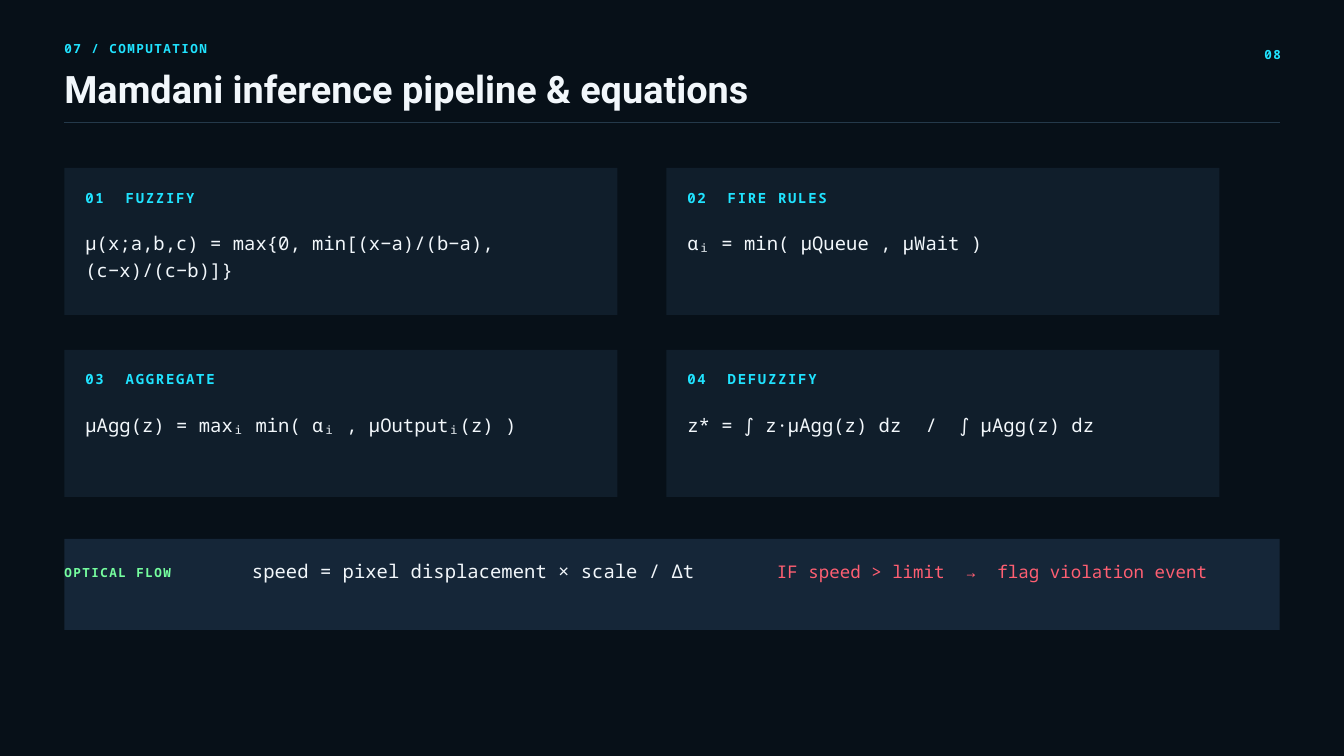
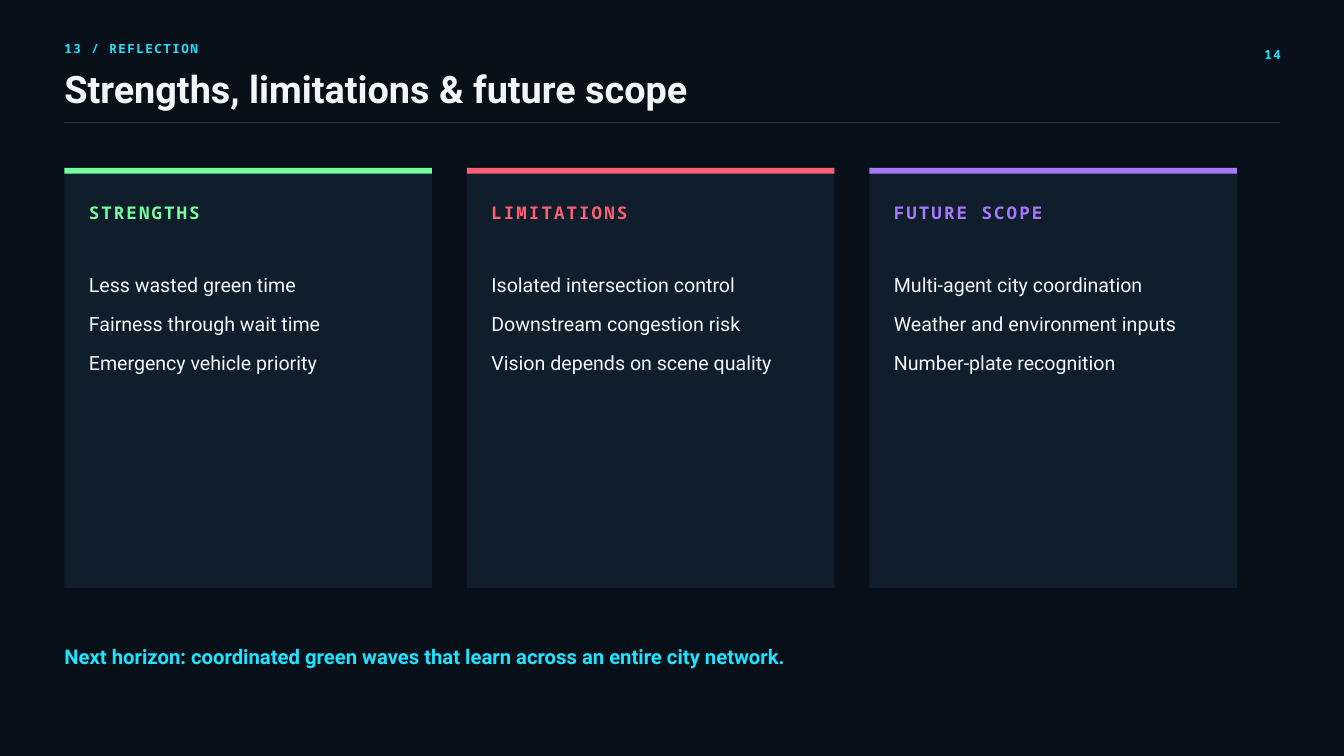
from dataclasses import dataclass

from lxml import etree
from pptx import Presentation
from pptx.dml.color import RGBColor
from pptx.enum.shapes import MSO_CONNECTOR, MSO_SHAPE
from pptx.enum.text import MSO_AUTO_SIZE, PP_ALIGN
from pptx.oxml.ns import qn
from pptx.util import Inches, Pt

RECTANGLE = MSO_SHAPE.RECTANGLE
STRAIGHT = MSO_CONNECTOR.STRAIGHT
LEFT, RIGHT = PP_ALIGN.LEFT, PP_ALIGN.RIGHT
GROW = MSO_AUTO_SIZE.SHAPE_TO_FIT_TEXT

SLIDE_WIDTH, SLIDE_HEIGHT = Inches(20), Inches(11.25)
COLUMNS = 1920  # square grid, 1920 x 1080 cells
CELL = SLIDE_WIDTH / COLUMNS
MARGIN, TOP = 92, 240
CONTENT_WIDTH = COLUMNS - 2 * MARGIN
MONO, SANS = "Noto Sans Mono", "Roboto"
MONO_ADVANCE = 0.6  # character width as a share of the type size


@dataclass(frozen=True)
class TextStyle:
    size: float
    font: str = MONO
    bold: bool = False
    tracking: float = 0
    leading: float = 1.4


class Theme:
    BACKGROUND, CARD, BAND, RULE = "071018", "101E2B", "152638", "24394A"
    INK, CYAN, GREEN = "F2F7FB", "20E3FF", "76FF9F"
    RED, VIOLET = "FF5F72", "A879FF"

    TITLE = TextStyle(40.5, SANS, True, leading=1.02)
    EYEBROW = TextStyle(13.5, bold=True, tracking=1.6)
    STEP = TextStyle(15, bold=True, tracking=1.8)
    FORMULA = TextStyle(20.25)
    CONDITION = TextStyle(18.75)
    HEADING = TextStyle(18.75, bold=True, tracking=2.2)
    POINTS = TextStyle(21, SANS, leading=2)
    CLOSING = TextStyle(21.75, SANS, True)


def cells(count):
    return round(count * CELL)


def rgb(value):
    return RGBColor.from_string(value)


def apply(target, values):
    for name, value in values.items():
        setattr(target, name, value)


def add_tab_stops(paragraph, text, style):
    """Let each tab span two characters of the monospaced face."""
    advance = Pt(style.size * MONO_ADVANCE + style.tracking)
    tab_list = etree.SubElement(paragraph._p.get_or_add_pPr(), qn("a:tabLst"))
    column = 0
    for part in text.split("\t")[:-1]:
        column += len(part) + 2
        etree.SubElement(tab_list, qn("a:tab"), pos=str(column * advance), algn="l")


class Deck:
    def __init__(self):
        self.presentation = Presentation()
        apply(self.presentation, {"slide_width": SLIDE_WIDTH, "slide_height": SLIDE_HEIGHT})
        self.slide = None

    def new_slide(self, section, title, number):
        self.slide = self.presentation.slides.add_slide(self.presentation.slide_layouts[6])
        backdrop = self.slide.background.fill
        backdrop.solid()
        backdrop.fore_color.rgb = rgb(Theme.BACKGROUND)
        self.text(section, MARGIN, 55, 900, Theme.EYEBROW, Theme.CYAN)
        self.text(title, MARGIN, 103, 1500, Theme.TITLE)
        self.text(number, 1740, 63, 90, Theme.EYEBROW, Theme.CYAN, RIGHT)
        self.rule(MARGIN, 175, CONTENT_WIDTH)

    def text(self, content, left, top, width, style, color=Theme.INK, align=LEFT, rows=1):
        """Write one paragraph per line of content; rows counts the drawn lines."""
        leading = Pt(style.size * style.leading)
        box = self.slide.shapes.add_textbox(cells(left), cells(top), cells(width), leading * rows)
        frame = box.text_frame
        apply(frame, {"word_wrap": True, "auto_size": GROW, "margin_left": 0,
                      "margin_right": 0, "margin_top": 0, "margin_bottom": 0})
        for index, line in enumerate(content.split("\n")):
            paragraph = frame.add_paragraph() if index else frame.paragraphs[0]
            apply(paragraph, {"alignment": align, "line_spacing": leading})
            if "\t" in line:
                add_tab_stops(paragraph, line, style)
            run = paragraph.add_run()
            run.text = line
            apply(run.font, {"name": style.font, "size": Pt(style.size), "bold": style.bold})
            run.font.color.rgb = rgb(color)
            if style.tracking:
                run.font._element.set("spc", str(round(style.tracking * 100)))

    def block(self, left, top, width, height, color):
        panel = self.slide.shapes.add_shape(
            RECTANGLE, cells(left), cells(top), cells(width), cells(height))
        panel.shadow.inherit = False
        panel.fill.solid()
        panel.fill.fore_color.rgb = rgb(color)
        panel.line.fill.background()

    def rule(self, left, top, width):
        line = self.slide.shapes.add_connector(
            STRAIGHT, cells(left), cells(top), cells(left + width), cells(top))
        line.line.color.rgb = rgb(Theme.RULE)
        line.line.width = cells(2)
        etree.SubElement(line._element.spPr, qn("a:effectLst"))

    def step_card(self, left, top, width, height, label, formula, rows):
        self.block(left, top, width, height, Theme.CARD)
        self.text(label, left + 30, top + 26, 730, Theme.STEP, Theme.CYAN)
        self.text(formula, left + 30, top + 86, 730, Theme.FORMULA, rows=rows)

    def points_card(self, left, top, width, height, heading, points, accent):
        self.block(left, top, width, height, Theme.CARD)
        self.block(left, top, width, 8, accent)
        self.text(heading, left + 35, top + 43, 450, Theme.HEADING, accent)
        self.text("\n".join(points), left + 35, top + 127, 440, Theme.POINTS, rows=len(points))


def build_pipeline(deck):
    deck.new_slide("07 / COMPUTATION", "Mamdani inference pipeline & equations", "08")
    steps = [
        ("01\tFUZZIFY", "μ(x;a,b,c) = max{0, min[(x−a)/(b−a), (c−x)/(c−b)]}", 2),
        ("02\tFIRE RULES", "αᵢ = min( μQueue , μWait )", 1),
        ("03\tAGGREGATE", "μAgg(z) = maxᵢ min( αᵢ , μOutputᵢ(z) )", 1),
        ("04\tDEFUZZIFY", "z* = ∫ z·μAgg(z) dz\t/\t∫ μAgg(z) dz", 1),
    ]
    width, height, column_gap, row_gap = 790, 210, 70, 50
    for index, step in enumerate(steps):
        row, column = divmod(index, 2)
        deck.step_card(MARGIN + column * (width + column_gap),
                       TOP + row * (height + row_gap), width, height, *step)

    band_top = 770
    deck.block(MARGIN, band_top, CONTENT_WIDTH, 130, Theme.BAND)
    deck.text("OPTICAL FLOW", MARGIN, band_top + 33, 260, Theme.EYEBROW, Theme.GREEN)
    deck.text("speed = pixel displacement × scale / Δt", 360, band_top + 24, 650, Theme.FORMULA)
    deck.text("IF speed > limit\t→\tflag violation event", 1110, band_top + 26, 650,
              Theme.CONDITION, Theme.RED)


def build_reflection(deck):
    deck.new_slide("13 / REFLECTION", "Strengths, limitations & future scope", "14")
    themes = [
        ("STRENGTHS", ["Less wasted green time", "Fairness through wait time",
                       "Emergency vehicle priority"], Theme.GREEN),
        ("LIMITATIONS", ["Isolated intersection control", "Downstream congestion risk",
                         "Vision depends on scene quality"], Theme.RED),
        ("FUTURE SCOPE", ["Multi-agent city coordination", "Weather and environment inputs",
                          "Number-plate recognition"], Theme.VIOLET),
    ]
    width, gap = 525, 50
    for column, theme in enumerate(themes):
        deck.points_card(MARGIN + column * (width + gap), TOP, width, 600, *theme)
    deck.text("Next horizon: coordinated green waves that learn across an entire city network.",
              MARGIN, 915, 1650, Theme.CLOSING, Theme.CYAN)


def main():
    deck = Deck()
    build_pipeline(deck)
    build_reflection(deck)
    deck.presentation.save("out.pptx")


if __name__ == "__main__":
    main()
